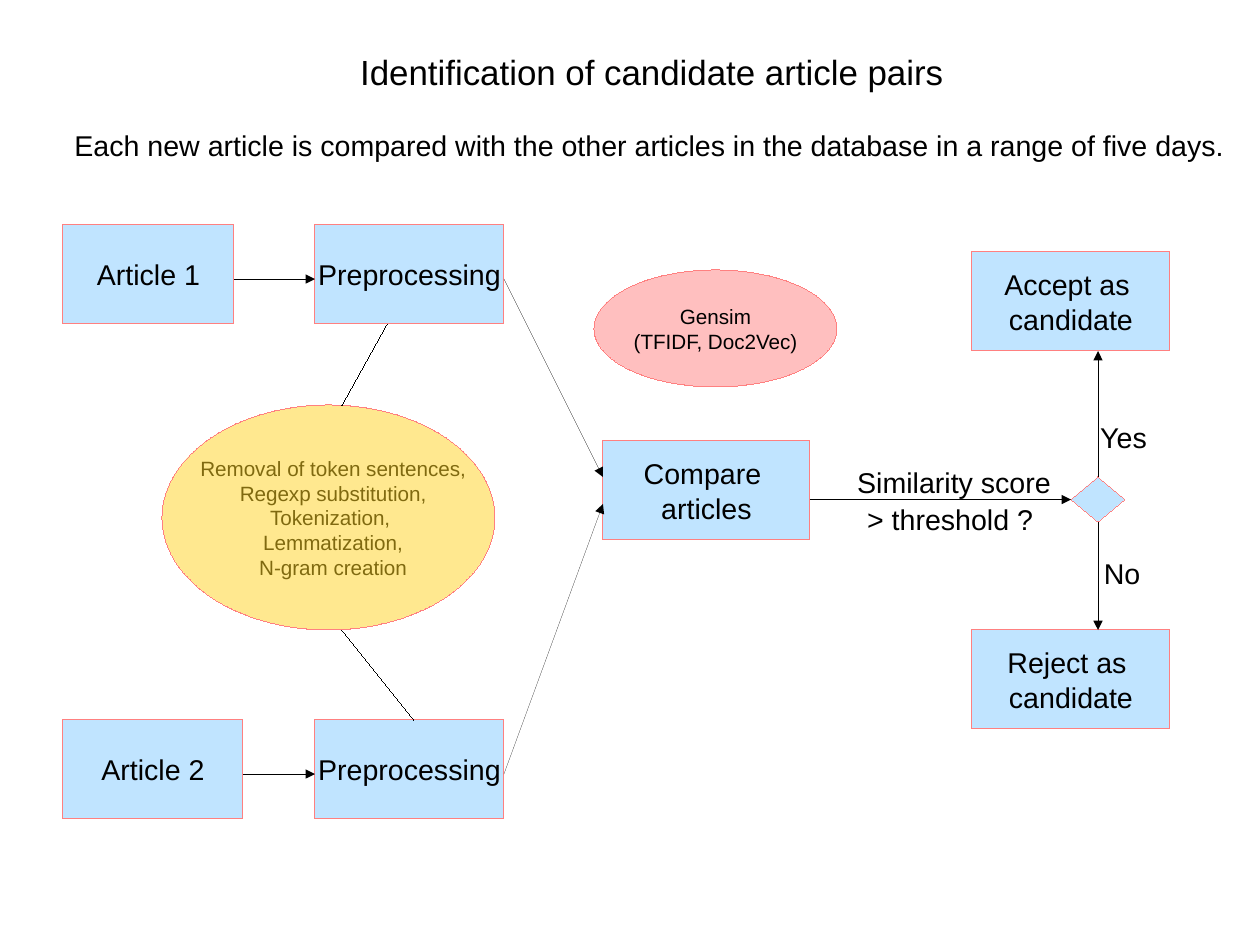
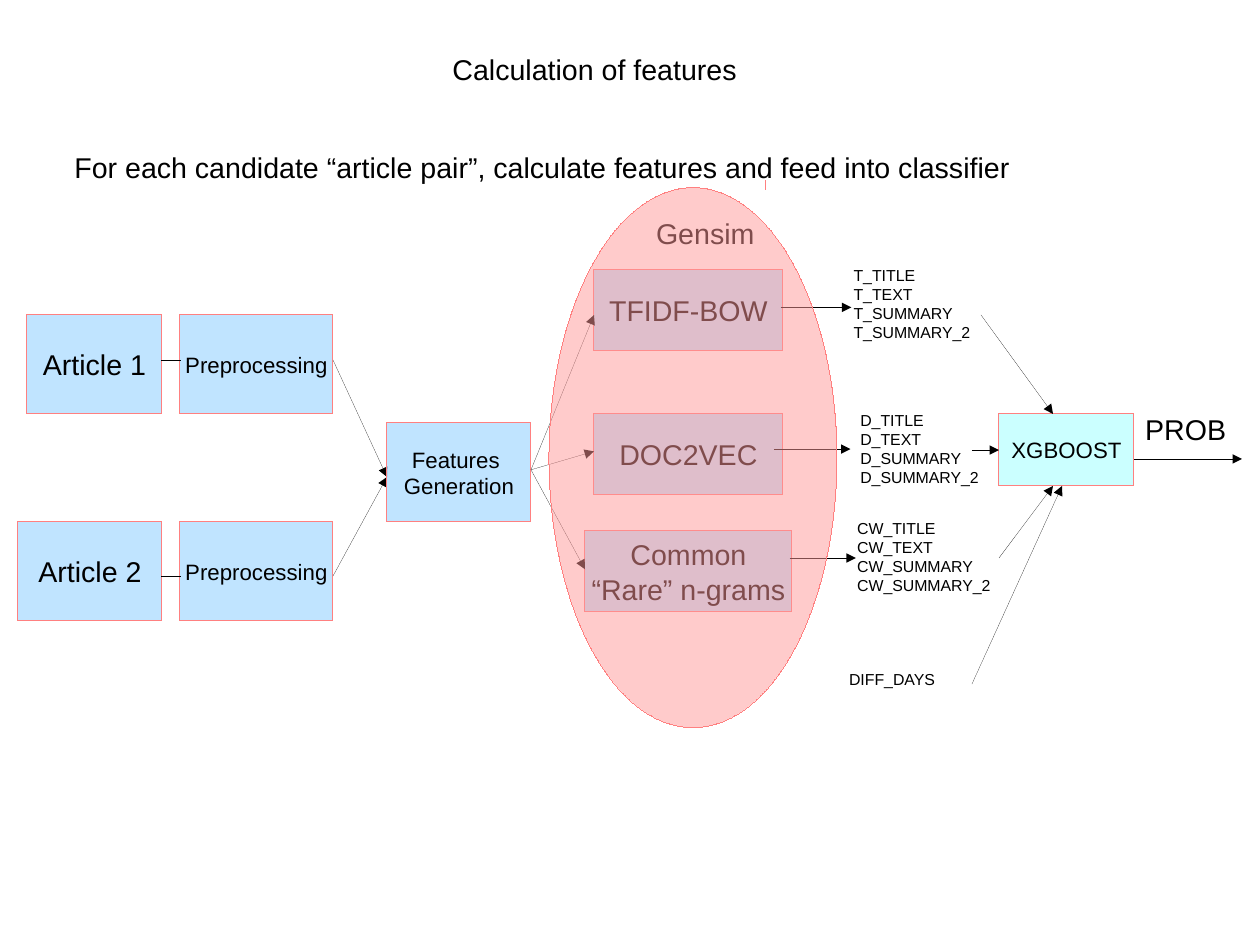
from dataclasses import dataclass
from typing import Any

from lxml.etree import SubElement
from pptx import Presentation
from pptx.dml.color import RGBColor
from pptx.enum.shapes import MSO_CONNECTOR, MSO_SHAPE
from pptx.enum.text import MSO_ANCHOR, MSO_AUTO_SIZE, PP_ALIGN
from pptx.oxml.ns import qn
from pptx.util import Cm, Pt

COLUMNS, ROWS = 28, 21
BOX_HEIGHT = 2.2


@dataclass(frozen=True)
class Theme:
    """Colours, font, line width and type sizes shared by the slides."""

    font: str = "Arial"
    ink: str = "000000"
    edge: str = "FF8080"
    step: str = "83CAFF"
    model: str = "FF8080"
    halo: str = "FF9999"
    classifier: str = "99FFFF"
    note: str = "FFD320"
    opacity: int = 50000
    hairline: float = 0.01
    headline: int = 22
    normal: int = 18
    compact: int = 14
    detail: int = 13
    feature: int = 10


THEME = Theme()


def write(frame, paragraphs, size, align=PP_ALIGN.LEFT):
    """Fill a text frame, one run for each line of each paragraph."""
    for index, text in enumerate(paragraphs):
        para = frame.paragraphs[0] if index == 0 else frame.add_paragraph()
        para.alignment = align
        for row, line in enumerate(text.split("\n")):
            if row:
                para.add_line_break()
            span = para.add_run()
            span.text = line
            span.font.name = THEME.font
            span.font.size = Pt(size)
            span.font.color.rgb = RGBColor.from_string(THEME.ink)


def draw_hairline(line, colour):
    """Give an outline or connector the thinnest stroke in a colour."""
    line.color.rgb = RGBColor.from_string(colour)
    line.width = Pt(THEME.hairline)


@dataclass(frozen=True)
class Region:
    """A part of the page whose contents are placed from its top left cell."""

    page: Any
    left: float = 0
    top: float = 0

    def cell(self, column, row):
        """Turn a local grid position into lengths on the page."""
        return Cm(self.left + column), Cm(self.top + row)

    def shape(self, kind, column, row, width, height, text="", fill=THEME.step, size=THEME.normal):
        """Add a translucent outlined shape with a centred label."""
        box = self.page.shapes.add_shape(kind, *self.cell(column, row), Cm(width), Cm(height))
        box.shadow.inherit = False
        box.fill.solid()
        box.fill.fore_color.rgb = RGBColor.from_string(fill)
        colour = box.element.spPr.find(qn("a:solidFill"))[0]
        SubElement(colour, qn("a:alpha")).set("val", str(THEME.opacity))
        draw_hairline(box.line, THEME.edge)
        if text:
            box.text_frame.word_wrap = False
            box.text_frame.vertical_anchor = MSO_ANCHOR.MIDDLE
            write(box.text_frame, [text], size, PP_ALIGN.CENTER)

    def step(self, column, row, width, text, height=BOX_HEIGHT, **style):
        """Add a rectangular process step."""
        self.shape(MSO_SHAPE.RECTANGLE, column, row, width, height, text, **style)

    def label(self, column, row, width, height, *paragraphs, size=THEME.normal, align=PP_ALIGN.LEFT):
        """Add free text."""
        box = self.page.shapes.add_textbox(*self.cell(column, row), Cm(width), Cm(height))
        box.text_frame.word_wrap = True
        write(box.text_frame, paragraphs, size, align)

    def link(self, start, end, arrow=True, colour=THEME.ink):
        """Add a hairline between two grid positions."""
        line = self.page.shapes.add_connector(
            MSO_CONNECTOR.STRAIGHT, *self.cell(*start), *self.cell(*end))
        draw_hairline(line.line, colour)
        properties = line.element.spPr
        if arrow:
            SubElement(properties.find(qn("a:ln")), qn("a:tailEnd")).set("type", "triangle")
        SubElement(properties, qn("a:effectLst"))


def fit_placeholder(holder, text, column, row, width, height, size):
    """Move a placeholder onto the grid and give it plain text."""
    holder.left, holder.top = Cm(column), Cm(row)
    holder.width, holder.height = Cm(width), Cm(height)
    frame = holder.text_frame
    frame.word_wrap = True
    frame.auto_size = MSO_AUTO_SIZE.NONE
    frame.vertical_anchor = MSO_ANCHOR.TOP
    properties = frame.paragraphs[0]._p.get_or_add_pPr()
    properties.set("marL", "0")
    properties.set("indent", "0")
    SubElement(properties, qn("a:buNone"))
    frame.paragraphs[0].space_before = Pt(0)
    write(frame, [text], size)


def start_page(deck, title, title_cell, title_size, lead, lead_row):
    """Add a page with its title and lead sentence."""
    page = deck.slides.add_slide(deck.slide_layouts[1])
    fit_placeholder(page.shapes.title, title, *title_cell, 14, 1.12, title_size)
    fit_placeholder(page.placeholders[1], lead, 1.4, lead_row, 26.4, 1, THEME.normal)
    return page


def article_row(region, name, start, width, prepare, prepare_width, size, line_row, arrow):
    """Draw an article and its preprocessing step."""
    region.step(start, 0, width, name)
    region.step(prepare, 0, prepare_width, "Preprocessing", size=size)
    region.link((start + width, line_row), (prepare, line_row), arrow)


def preprocessing_note(region):
    """Draw the oval that lists the preprocessing work."""
    region.label(0.4, 1, 6.8, 4.37, "Removal of token sentences,",
                 "Regexp substitution,\nTokenization, ", "Lemmatization,",
                 "N-gram creation", size=THEME.detail, align=PP_ALIGN.CENTER)
    region.shape(MSO_SHAPE.OVAL, 0, 0, 7.4, 5, fill=THEME.note)
    region.link((4, 0), (5, -1.8), arrow=False)
    region.link((4, 5), (5.6, 7), arrow=False)


def comparison(region):
    """Draw the comparison step and the models it uses."""
    region.shape(MSO_SHAPE.OVAL, 0, 0, 5.4, 2.6, "Gensim\n(TFIDF, Doc2Vec)",
                 THEME.model, THEME.detail)
    region.step(0.2, 3.8, 4.6, "Compare \narticles")
    region.link((-2, 0.2), (0.2, 4.6))
    region.link((-2, 11.2), (0.2, 5.2))


def decision(region):
    """Draw the threshold test and its two outcomes."""
    region.step(3.6, 0, 4.4, "Accept as \ncandidate")
    region.step(3.6, 8.4, 4.4, "Reject as \ncandidate")
    region.shape(MSO_SHAPE.DIAMOND, 5.8, 5, 1.2, 1)
    region.link((0, 5.5), (5.8, 5.5))
    region.link((6.4, 5), (6.4, BOX_HEIGHT))
    region.link((6.4, 6), (6.4, 8.4))
    for column, row, width, text in (
        (0.8, 4.6, 5.4, "Similarity score"),
        (1.02, 5.43, 4.8, "> threshold ?"),
        (6.2, 3.6, 1.8, "Yes"),
        (6.28, 6.64, 1.8, "No"),
    ):
        region.label(column, row, width, 0.97, text)


def feature_models(region):
    """Draw the models, their feature lists and the oval around the models."""
    region.label(2.13, 0.5, 3, 0.97, "Gensim")
    models = (
        (1, 1.83, 4.2, "TFIDF-BOW", "T", 6.52, 1.6, (5.15, 6.72, 2.66), 2.83),
        (1, 5.03, 4.2, "DOC2VEC", "D", 6.67, 4.82, (5, 6.7, 5.81), 5.86),
        (0.8, 7.63, 4.6, "Common\n“Rare” n-grams", "CW", 6.6, 7.23, (5.35, 6.82, 8.23), 8.48),
    )
    for column, row, width, name, prefix, list_column, list_row, output, target in models:
        region.step(column, row, width, name, height=1.8)
        features = [f"{prefix}_{part}" for part in ("TITLE", "TEXT", "SUMMARY", "SUMMARY_2")]
        region.label(list_column, list_row, 3.6, 1.83, *features, size=THEME.feature)
        start, end, line_row = output
        region.link((start, line_row), (end, line_row))
        region.link((-0.4, 6.27), (column, target))
    region.label(6.42, 10.59, 2.8, 0.64, "DIFF_DAYS", size=THEME.feature)
    region.shape(MSO_SHAPE.OVAL, 0, 0, 6.4, 12, fill=THEME.halo)
    region.link((4.8, -0.17), (4.8, 0.03), arrow=False, colour=THEME.edge)


def classifier(region):
    """Draw the classifier, its four inputs and its result."""
    region.step(0, 0, 3, "XGBOOST", height=1.6, fill=THEME.classifier, size=THEME.compact)
    for start, end in (
        ((-0.4, -2.2), (1.2, 0)),
        ((-0.6, 0.8), (0, 0.8)),
        ((0, 3.2), (1.2, 1.6)),
        ((-0.6, 6), (1.4, 1.6)),
        ((3, 1), (5.4, 1)),
    ):
        region.link(start, end)
    region.label(3, -0.16, 2.6, 0.97, "PROB")


def candidate_page(deck):
    """Build the page on finding candidate pairs."""
    page = start_page(
        deck, "Identification of candidate article pairs", (7.75, 1), THEME.headline,
        "Each new article is compared with the other articles in the database"
        " in a range of five days.", 2.72)
    for name, row, width in (("Article 1", 5, 3.8), ("Article 2", 16, 4)):
        article_row(Region(page, 1.4, row), name, 0, width, 5.6, 4.2, THEME.normal, 1.2, True)
    preprocessing_note(Region(page, 3.6, 9))
    comparison(Region(page, 13.2, 6))
    decision(Region(page, 18, 5.6))


def feature_page(deck):
    """Build the page on calculating features."""
    page = start_page(
        deck, "Calculation of features", (9.8, 1.03), THEME.normal,
        "For each candidate “article pair”, calculate features and feed into classifier", 3.2)
    for name, row, start, line_row in (("Article 1", 7, 0.2, 1), ("Article 2", 11.6, 0, 1.2)):
        region = Region(page, 0.4, row)
        article_row(region, name, start, 3.2 - start, 3.6, 3.4, THEME.compact, line_row, False)
        region.link((7, line_row), (8.2, 10.6 - row))
    Region(page, 8.6, 9.4).step(0, 0, 3.2, "Features \nGeneration", size=THEME.compact)
    feature_models(Region(page, 12.2, 4.17))
    classifier(Region(page, 22.2, 9.2))


def main():
    """Build and save the deck."""
    deck = Presentation()
    deck.slide_width, deck.slide_height = Cm(COLUMNS), Cm(ROWS)
    candidate_page(deck)
    feature_page(deck)
    deck.save("out.pptx")


if __name__ == "__main__":
    main()
